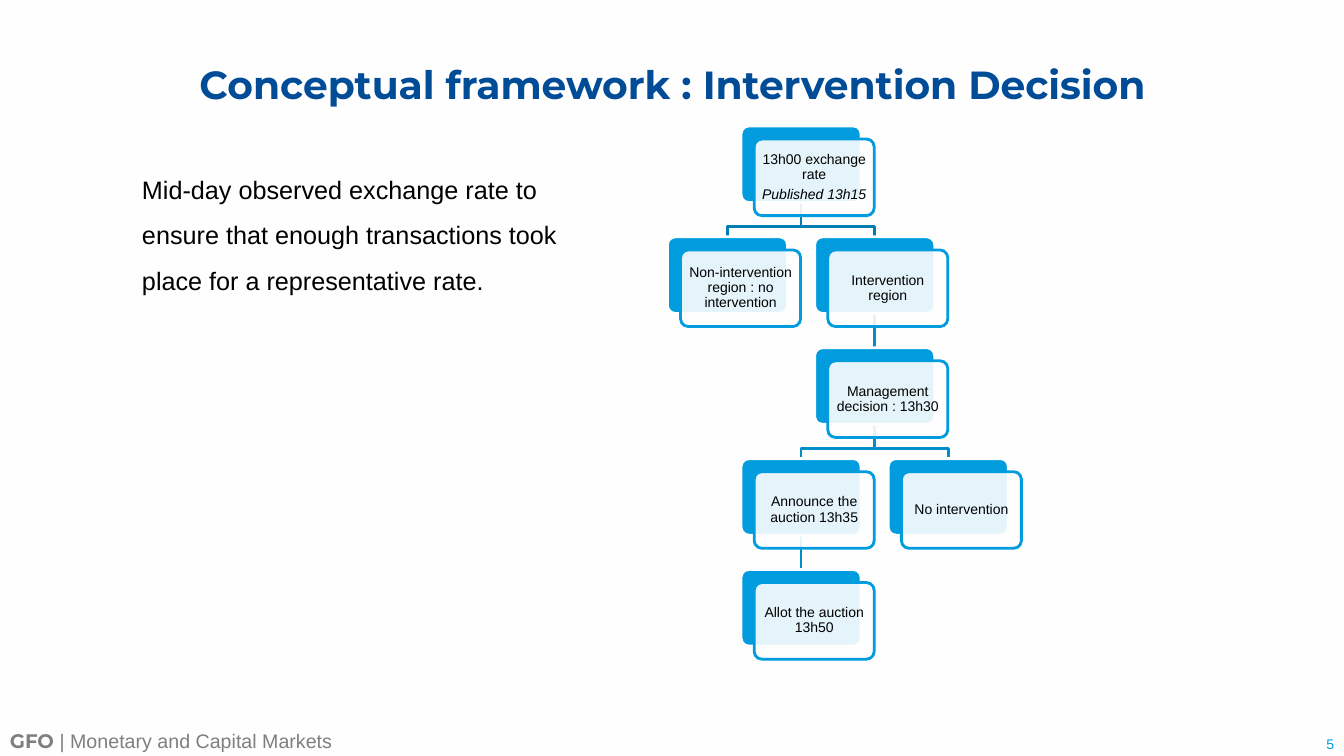
from lxml import etree
from pptx import Presentation
from pptx.dml.color import RGBColor
from pptx.enum.shapes import MSO_SHAPE
from pptx.enum.text import MSO_ANCHOR, PP_ALIGN
from pptx.oxml.ns import qn
from pptx.util import Inches, Pt

ROUNDED = MSO_SHAPE.ROUNDED_RECTANGLE
LEFT, CENTER, RIGHT = PP_ALIGN.LEFT, PP_ALIGN.CENTER, PP_ALIGN.RIGHT
TOP, MIDDLE, BOTTOM = MSO_ANCHOR.TOP, MSO_ANCHOR.MIDDLE, MSO_ANCHOR.BOTTOM

WIDTH, HEIGHT = 13.33, 7.5
COLORS = {
    "paper": "FEFEFE", "title": "004C97", "text": "000000", "footer": "7F7F7F",
    "card": "009CDE", "upper_link": "007DB2", "lower_link": "008EC9",
}

# Decision tree: half-card columns and equal rows, in inches
COLUMN_STEP, ROW_STEP = 0.73, 1.1
CARD_WIDTH, CARD_HEIGHT = 1.19, 0.76
CARD_OFFSET = 0.13
LINK_BEND, LINK_DROP = 0.24, 0.34

# name: (column, row, lines)
STEPS = {
    "rate": (1, 0, ["13h00 exchange rate", "Published 13h15"]),
    "outside": (0, 1, ["Non-intervention region : no intervention"]),
    "inside": (2, 1, ["Intervention region"]),
    "decision": (2, 2, ["Management decision : 13h30"]),
    "announce": (1, 3, ["Announce the auction 13h35"]),
    "none": (3, 3, ["No intervention"]),
    "allot": (1, 4, ["Allot the auction 13h50"]),
}
LINKS = [
    ("decision", "none", "lower_link"), ("announce", "allot", "lower_link"),
    ("decision", "announce", "lower_link"), ("inside", "decision", "lower_link"),
    ("rate", "inside", "upper_link"), ("rate", "outside", "upper_link"),
]


def rgb(name):
    return RGBColor.from_string(COLORS[name])


def style_span(span, size, color, font="Arial", bold=False, italic=False):
    span.font.size = Pt(size)
    span.font.name = font
    span.font.color.rgb = rgb(color)
    span.font.bold = bold
    span.font.italic = italic


def set_frame(frame, anchor, margins=(0.1, 0.05, 0.1, 0.05)):
    frame.word_wrap = True
    frame.vertical_anchor = anchor
    (frame.margin_left, frame.margin_top,
     frame.margin_right, frame.margin_bottom) = map(Inches, margins)


def add_text(slide, box, spans, align=LEFT, anchor=TOP):
    """Add a text box of (text, style) spans and return its paragraph."""
    frame = slide.shapes.add_textbox(*map(Inches, box)).text_frame
    set_frame(frame, anchor)
    para = frame.paragraphs[0]
    para.alignment = align
    for text, style in spans:
        span = para.add_run()
        span.text = text
        style_span(span, **style)
    return para


def add_title(slide, box):
    title = slide.shapes.title
    title.left, title.top, title.width, title.height = map(Inches, box)
    title.text_frame.text = "Conceptual framework : Intervention Decision"
    set_frame(title.text_frame, MIDDLE, (0, 0, 0, 0.43))
    para = title.text_frame.paragraphs[0]
    para.alignment = CENTER
    para.line_spacing = 0.9
    style_span(para.runs[0], 28, "title", "Montserrat", bold=True)


def add_explanation(slide, box):
    text = ("Mid-day observed exchange rate to ensure that enough "
            "transactions took place for a representative rate.")
    para = add_text(slide, box, [(text, {"size": 18, "color": "text"})])
    para.line_spacing = 1.5
    para.space_before = para.space_after = Pt(6)


def add_card(slide, left, top, fill, line):
    card = slide.shapes.add_shape(
        ROUNDED, *map(Inches, (left, top, CARD_WIDTH, CARD_HEIGHT)))
    card.adjustments[0] = 0.1
    card.shadow.inherit = False
    card.fill.solid()
    card.fill.fore_color.rgb = rgb(fill)
    card.line.color.rgb = rgb(line)
    card.line.width = Pt(2)
    return card


def add_step(slide, left, top, lines):
    """Add a solid card with a translucent text card in front of it."""
    add_card(slide, left, top, "card", "paper")
    front = add_card(slide, left + CARD_OFFSET, top + CARD_OFFSET, "paper", "card")
    color = front.fill._xPr.find(qn("a:solidFill"))[0]
    etree.SubElement(color, qn("a:alpha"), val="90000")
    frame = front.text_frame
    frame.text = "\n".join(lines)
    set_frame(frame, MIDDLE, (0.04, 0.04, 0.04, 0.04))
    for index, para in enumerate(frame.paragraphs):
        para.alignment = CENTER
        para.line_spacing = 0.9
        para.space_after = Pt(3.5)
        style_span(para.runs[0], 10, "text", italic=index > 0)


def add_link(slide, start, end_x, color):
    """Draw a line down from start, with a bend when end_x differs."""
    x, y = start
    points = [(end_x, y + LINK_DROP)]
    if end_x != x:
        points = [(x, y + LINK_BEND), (end_x, y + LINK_BEND)] + points
    builder = slide.shapes.build_freeform(Inches(x), Inches(y))
    builder.add_line_segments(
        [(Inches(px), Inches(py)) for px, py in points], close=False)
    link = builder.convert_to_shape()
    link.shadow.inherit = False
    link.fill.background()
    link.line.color.rgb = rgb(color)
    link.line.width = Pt(2)


def add_decision_tree(slide, left, top):
    corners = {name: (left + column * COLUMN_STEP, top + row * ROW_STEP)
               for name, (column, row, _) in STEPS.items()}
    for parent, child, color in LINKS:
        x, y = corners[parent]
        start = (x + CARD_WIDTH / 2, y + CARD_HEIGHT)
        add_link(slide, start, corners[child][0] + CARD_WIDTH / 2, color)
    for name, (_, _, lines) in STEPS.items():
        add_step(slide, *corners[name], lines)


def add_footer(slide):
    add_text(slide, (0, HEIGHT - 0.32, 10, 0.34), [
        ("GFO ", {"size": 14, "color": "footer", "font": "Montserrat", "bold": True}),
        ("| Monetary and Capital Markets", {"size": 14, "color": "footer"}),
    ])
    add_text(slide, (WIDTH - 1.32, HEIGHT - 0.26, 1.32, 0.27),
             [("5", {"size": 10, "color": "card"})], RIGHT, BOTTOM)


def main():
    deck = Presentation()
    deck.slide_width, deck.slide_height = Inches(WIDTH), Inches(HEIGHT)
    slide = deck.slides.add_slide(deck.slide_layouts.get_by_name("Title Only"))
    slide.background.fill.solid()
    slide.background.fill.fore_color.rgb = rgb("paper")
    add_footer(slide)
    add_title(slide, (1.36, 0.54, 10.62, 1.07))
    add_decision_tree(slide, 6.62, 1.25)
    add_explanation(slide, (1.31, 1.53, 4.69, 1.41))
    deck.save("out.pptx")


if __name__ == "__main__":
    main()
